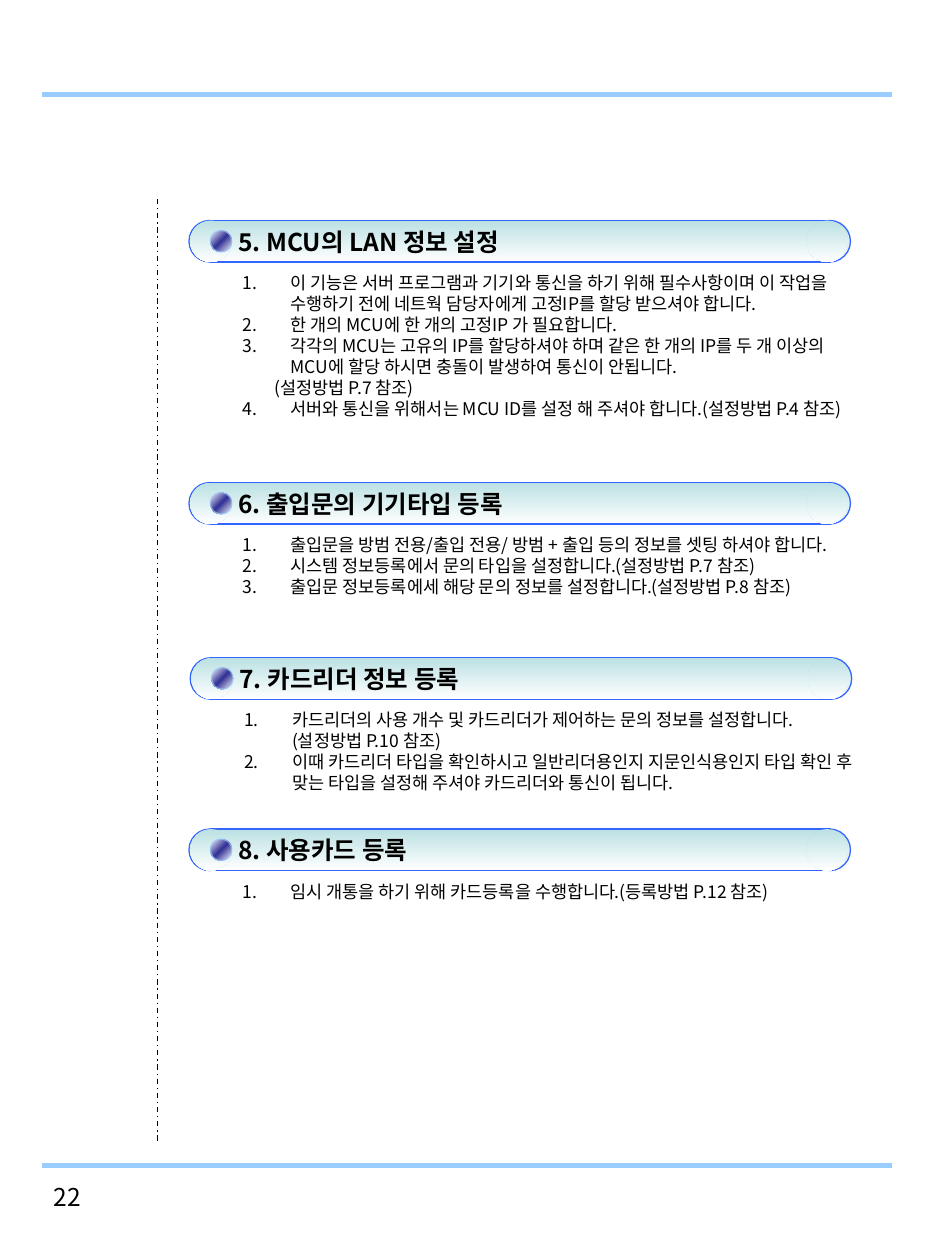
from lxml import etree
from pptx import Presentation
from pptx import util as u
from pptx.dml.color import RGBColor
from pptx.enum import dml, shapes, text
from pptx.oxml import ns

THEME = {
    "font": "Noto Sans CJK KR", "ink": "000000", "rule": "99CCFF", "outline": "3366FF",
    "pill": (("BBE0E3", 0), ("FFFFFF", 100)),
    "bead": (("FFFFFF", 0), ("333399", 50), ("FFFFFF", 100)),
    "heading": 14, "body": 10,
}
NUMBERED, PLAIN = True, False
SECTIONS = [
    (1.5, 1.75, "5. MCU의 LAN 정보 설정", [
        (NUMBERED, "이 기능은 서버 프로그램과 기기와 통신을 하기 위해 필수사항이며 이 작업을 수행하기 전에 네트웍 담당자에게 고정IP를 할당 받으셔야 합니다."),
        (NUMBERED, "한 개의 MCU에 한 개의 고정IP 가 필요합니다."),
        (NUMBERED, "각각의 MCU는 고유의 IP를 할당하셔야 하며 같은 한 개의 IP를 두 개 이상의 MCU에 할당 하시면 충돌이 발생하여 통신이 안됩니다."),
        (PLAIN, "(설정방법 P.7 참조)"),
        (NUMBERED, "서버와 통신을 위해서는 MCU ID를 설정 해 주셔야 합니다.(설정방법 P.4 참조)"),
    ]),
    (1.5, 3.83, "6. 출입문의 기기타입 등록", [
        (NUMBERED, "출입문을 방범 전용/출입 전용/ 방범 + 출입 등의 정보를 셋팅 하셔야 합니다."),
        (NUMBERED, "시스템 정보등록에서 문의 타입을 설정합니다.(설정방법 P.7 참조)"),
        (NUMBERED, "출입문 정보등록에세 해당 문의 정보를 설정합니다.(설정방법 P.8 참조)"),
    ]),
    (1.51, 5.22, "7. 카드리더 정보 등록", [
        (NUMBERED, "카드리더의 사용 개수 및 카드리더가 제어하는 문의 정보를 설정합니다.(설정방법 P.10 참조)"),
        (NUMBERED, "이때 카드리더 타입을 확인하시고 일반리더용인지 지문인식용인지 타입 확인 후 맞는 타입을 설정해 주셔야 카드리더와 통신이 됩니다."),
    ]),
    (1.5, 6.58, "8. 사용카드 등록", [
        (NUMBERED, "임시 개통을 하기 위해 카드등록을 수행합니다.(등록방법 P.12 참조)"),
    ]),
]
PAGE_NUMBER = "22"
RULES = [
    ((0.33, 9.25), (7.08, 9.25), "rule", 3, None),
    ((0.33, 0.75), (7.08, 0.75), "rule", 3, None),
    ((1.25, 1.58), (1.25, 9.08), "ink", 0.75, dml.MSO_LINE.DASH_DOT),
]
PILL_HEIGHT, BEAD_SIZE = 0.33, 0.17


def rgb(name):
    return RGBColor.from_string(THEME[name])


def add_rule(s, start, end, color, width, dash):
    c = s.shapes.add_connector(shapes.MSO_CONNECTOR.STRAIGHT, *map(u.Inches, start + end))
    c.line.color.rgb = rgb(color)
    c.line.width = u.Pt(width)
    if dash:
        c.line.dash_style = dash
    etree.SubElement(c._element.spPr, ns.qn("a:effectLst"))


def fill_gradient(sp, stops, angle):
    sp.fill.gradient()
    sp.fill.gradient_angle = 360 - angle
    gs_list = sp._element.spPr.find(ns.qn("a:gradFill")).find(ns.qn("a:gsLst"))
    for gs in list(gs_list):
        gs_list.remove(gs)
    for color, position in stops:
        gs = etree.SubElement(gs_list, ns.qn("a:gs"), pos=str(position * 1000))
        etree.SubElement(gs, ns.qn("a:srgbClr"), val=color)


def add_part(s, kind, box, stops, angle, outline=None):
    sp = s.shapes.add_shape(kind, *map(u.Inches, box))
    sp.shadow.inherit = False
    fill_gradient(sp, stops, angle)
    if outline:
        sp.line.color.rgb = rgb(outline)
        sp.line.width = u.Pt(0.75)
    else:
        sp.line.fill.background()
    return sp


def style(p, size, bold=False):
    p.alignment = text.PP_ALIGN.LEFT
    for r in p.runs:
        r.font.name = THEME["font"]
        r.font.size = u.Pt(THEME[size])
        r.font.bold = bold
        r.font.color.rgb = rgb("ink")
        etree.SubElement(r._r.get_or_add_rPr(), ns.qn("a:ea"), typeface=THEME["font"])


def add_heading(s, left, top, title):
    oval, rect = shapes.MSO_SHAPE.OVAL, shapes.MSO_SHAPE.RECTANGLE
    h, pill = PILL_HEIGHT, THEME["pill"]
    for dx in (0, 4.92):
        add_part(s, oval, (left + dx, top, h, h), pill, 90, "outline")
    bar = add_part(s, rect, (left + 0.17, top, 4.92, h), pill, 90, "outline")
    for dx in (4.9, 0.01):
        add_part(s, oval, (left + dx, top, h, h), pill, 90)
    bead_box = (left + 0.17, top + 0.08, BEAD_SIZE, BEAD_SIZE)
    bead = add_part(s, oval, bead_box, THEME["bead"], 225, "rule")
    color = bead.line._ln.find(ns.qn("a:solidFill"))[0]
    etree.SubElement(color, ns.qn("a:alpha"), val="70000")
    tf = bar.text_frame
    tf.margin_left = u.Inches(0.22)
    tf.vertical_anchor = text.MSO_ANCHOR.MIDDLE
    tf.text = title
    style(tf.paragraphs[0], "heading", True)


def add_text(s, *box):
    tf = s.shapes.add_textbox(*map(u.Inches, box)).text_frame
    tf.word_wrap = True
    return tf


def add_items(s, left, top, items):
    tf = add_text(s, left + 0.33, top + 0.36, 5.07, 0.3)
    number = 0
    for i, (numbered, line) in enumerate(items):
        p = tf.paragraphs[0] if i == 0 else tf.add_paragraph()
        p.text = line
        pPr = p._p.get_or_add_pPr()
        pPr.set("marL", str(u.Inches(0.38 if numbered else 0.25)))
        pPr.set("indent", str(u.Inches(-0.38 if numbered else 0)))
        if numbered:
            number += 1
            etree.SubElement(pPr, ns.qn("a:buFont"), typeface=THEME["font"])
            etree.SubElement(pPr, ns.qn("a:buAutoNum"), type="arabicPeriod", startAt=str(number))
        style(p, "body")


def main():
    prs = Presentation()
    prs.slide_width, prs.slide_height = u.Inches(7.5), u.Inches(10)
    s = prs.slides.add_slide(prs.slide_layouts[6])
    for rule in RULES:
        add_rule(s, *rule)
    for left, top, title, items in SECTIONS:
        add_heading(s, left, top, title)
        add_items(s, left, top, items)
    tf = add_text(s, 0.33, 9.33, 1.75, 0.42)
    tf.text = PAGE_NUMBER
    style(tf.paragraphs[0], "heading")
    prs.save("out.pptx")


if __name__ == "__main__":
    main()
